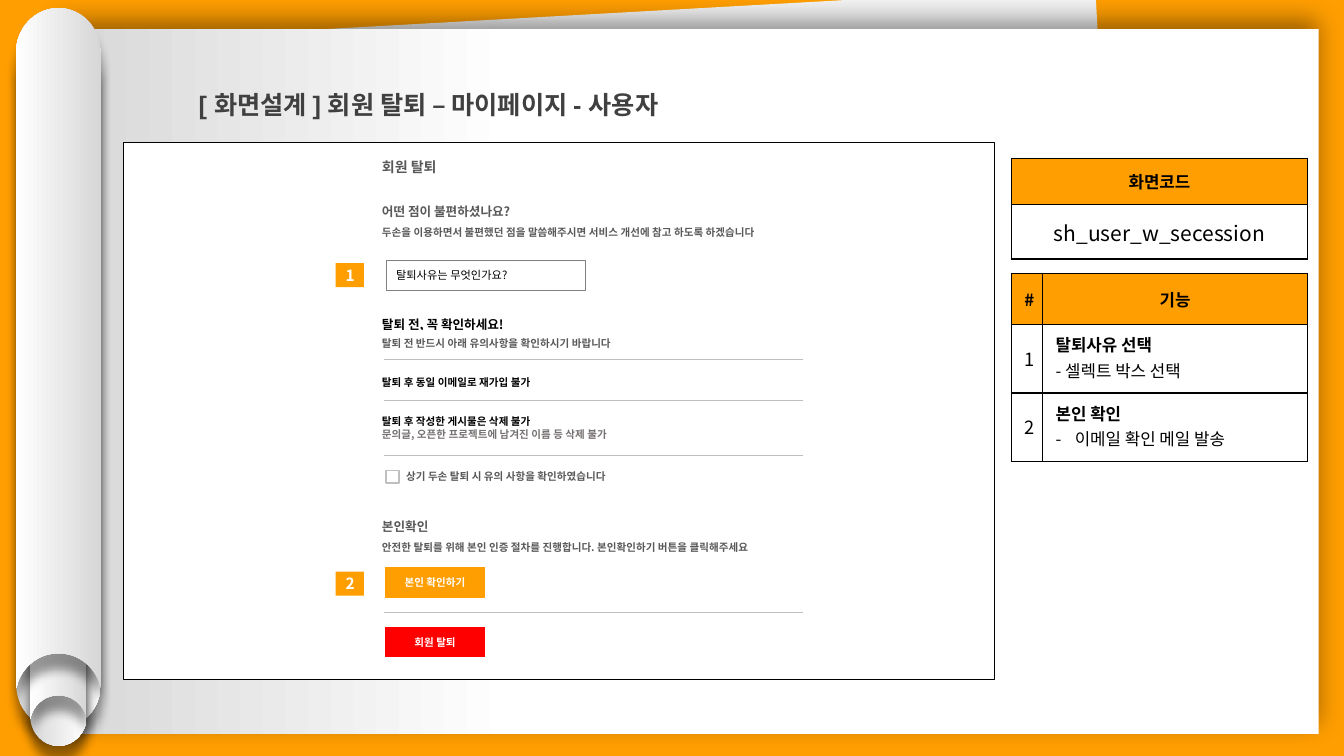
from dataclasses import dataclass
from typing import Any, Optional

from lxml.etree import SubElement
from pptx import Presentation
from pptx.dml.color import RGBColor
from pptx.enum.shapes import MSO_CONNECTOR as CONN, MSO_SHAPE as SHAPE
from pptx.enum.text import MSO_ANCHOR as ANCHOR, MSO_AUTO_SIZE as AUTO, PP_ALIGN as ALIGN
from pptx.oxml.ns import qn
from pptx.util import Inches, Pt

COLORS = {
    "orange": "FF9E00", "white": "FFFFFF", "black": "000000", "red": "FF0000",
    "paper": "F2F2F2", "shade": "D7D7D7", "title": "404040", "text": "595959",
    "note": "767171", "rule": "BFBFBF", "field": "808080",
}
FONT = "Noto Sans CJK KR"


@dataclass
class Line:
    text: str
    size: float = 7.5
    color: str = "text"
    bold: bool = True
    bullet: bool = False


@dataclass
class Box:
    left: float
    top: float
    width: float
    height: float
    lines: tuple[Line, ...] = ()
    fill: str = "white"
    line: Optional[str] = "white"
    weight: float = 1
    align: ALIGN = ALIGN.LEFT
    rotation: float = 0


@dataclass
class Roll:
    left: float
    top: float
    width: float
    height: float
    rotation: float


@dataclass
class Grid:
    left: float
    top: float
    cols: tuple[float, ...]
    rows: tuple[float, ...]
    cells: tuple[tuple[tuple[Line, ...], ...], ...]
    spacing: Any = None


def rgb(name: str) -> RGBColor:
    return RGBColor.from_string(COLORS[name])


def set_attrs(target: Any, values: dict[str, Any]) -> None:
    for name, value in values.items():
        setattr(target, name, value)


def write(tf: Any, lines: tuple[Line, ...], align: ALIGN, spacing: Any = None, font: str = FONT) -> None:
    for i, line in enumerate(lines):
        p = tf.add_paragraph() if i else tf.paragraphs[0]
        set_attrs(p, {"alignment": align, "line_spacing": spacing})
        if line.bullet:
            pPr = p._p.get_or_add_pPr()
            pPr.set("marL", str(Inches(0.19)))
            pPr.set("indent", str(Inches(-0.19)))
            SubElement(pPr, qn("a:buFont")).set("typeface", FONT)
            SubElement(pPr, qn("a:buChar")).set("char", "-")
        r = p.add_run()
        r.text = line.text
        set_attrs(r.font, {"name": font, "size": Pt(line.size), "bold": line.bold})
        r.font.color.rgb = rgb(line.color)
        rPr = r._r.get_or_add_rPr()
        rPr.set("kern", "0")
        SubElement(rPr, qn("a:ea")).set("typeface", FONT)


def add_box(s: Any, box: Box) -> Any:
    sp = s.shapes.add_shape(SHAPE.RECTANGLE, *map(Inches, (box.left, box.top, box.width, box.height)))
    sp.shadow.inherit = False
    sp.rotation = box.rotation
    sp.fill.solid()
    sp.fill.fore_color.rgb = rgb(box.fill)
    if box.line:
        sp.line.color.rgb = rgb(box.line)
        sp.line.width = Pt(box.weight)
    else:
        sp.line.fill.background()
    set_attrs(sp.text_frame, {"word_wrap": True, "vertical_anchor": ANCHOR.MIDDLE})
    write(sp.text_frame, box.lines, box.align)
    return sp


def shade(sp: Any, stops: tuple[tuple[float, str], ...], blur: float, dist: float, angle: int) -> None:
    sp.fill.gradient()
    sp.fill.gradient_angle = 180
    for stop, (position, color) in zip(sp.fill.gradient_stops, stops):
        stop.position = position
        stop.color.rgb = rgb(color)
    sp.line.fill.background()
    sp.shadow.inherit = False
    effects = sp._element.spPr.find(qn("a:effectLst"))
    shadow = SubElement(effects, qn("a:outerShdw"), blurRad=str(Pt(blur)), dist=str(Pt(dist)),
                        dir=str(angle * 60000), algn="ctr", rotWithShape="0")
    color = SubElement(shadow, qn("a:srgbClr"), val=COLORS["black"])
    SubElement(color, qn("a:alpha"), val="40000")


def add_roll(group: Any, roll: Roll) -> None:
    radius = roll.width / 2
    x, top, bottom = roll.left + radius, roll.top, roll.top + roll.height
    shoulder = top + 1.05 * radius
    right = [(0.55, top), (1, top + 0.47 * radius), (1, shoulder), (1, bottom),
             (0.95, bottom - 0.17 * radius), (0.79, bottom - 0.57 * radius),
             (0.43, bottom - 0.83 * radius)]
    left = [(-side, y) for side, y in reversed(right)]
    outline = [(0, top), *right, (0, bottom - 0.83 * radius), *left, (0, top)]
    points = [(Inches(x + side * radius), Inches(y)) for side, y in outline]
    builder = group.shapes.build_freeform(*points[0])
    builder.add_line_segments(points[1:], close=True)
    sp = builder.convert_to_shape()
    segments = list(sp._element.iter(qn("a:lnTo")))
    for start in (0, 5, 8, 13):
        curve = segments[start]
        curve.tag = qn("a:cubicBezTo")
        for control in segments[start + 1:start + 3]:
            curve.append(control[0])
            control.getparent().remove(control)
    sp.rotation = roll.rotation
    shade(sp, ((0, "shade"), (1, "white")), 7, 11, 90)


def add_rule(s: Any, top: float) -> None:
    c = s.shapes.add_connector(CONN.STRAIGHT, *map(Inches, (3.81, top, 7.96, top)))
    c.line.color.rgb = rgb("rule")
    c.line.width = Pt(0.5)
    SubElement(c._element.spPr, qn("a:effectLst"))


def add_grid(s: Any, grid: Grid) -> None:
    frame = s.shapes.add_table(len(grid.rows), len(grid.cols), *map(
        Inches, (grid.left, grid.top, sum(grid.cols), sum(grid.rows))))
    table = frame.table
    set_attrs(table, {"first_row": False, "horz_banding": False})
    for col, width in zip(table.columns, grid.cols):
        col.width = Inches(width)
    for i, (row, height) in enumerate(zip(table.rows, grid.rows)):
        row.height = Inches(height)
        for j, cell in enumerate(row.cells):
            body = i > 0 and j > 0
            set_attrs(cell, {
                "margin_left": Inches(0.13), "margin_right": Inches(0.13),
                "margin_top": Inches(0.07), "margin_bottom": Inches(0.07),
                "vertical_anchor": ANCHOR.TOP if body else ANCHOR.MIDDLE,
            })
            for side in ("lnL", "lnR", "lnT", "lnB"):
                ln = SubElement(cell._tc.get_or_add_tcPr(), qn(f"a:{side}"), w=str(Pt(1)))
                SubElement(SubElement(ln, qn("a:solidFill")), qn("a:srgbClr"), val=COLORS["black"])
            if i:
                cell.fill.background()
            else:
                cell.fill.solid()
                cell.fill.fore_color.rgb = rgb("orange")
            write(cell.text_frame, grid.cells[i][j], ALIGN.LEFT if body else ALIGN.CENTER, grid.spacing)


def label(top: float, height: float, *lines: Line, left: float = 3.69, width: float = 4.43) -> Box:
    return Box(left, top, width, height, lines)


def button(top: float, text: str, fill: str) -> Box:
    return Box(3.81, top, 1.01, 0.32, (Line(text, color="white"),), fill, align=ALIGN.CENTER)


def badge(top: float, text: str) -> Box:
    return Box(3.33, top, 0.28, 0.24, (Line(text, 11, "white"),), "orange", None, align=ALIGN.CENTER)


def cell_line(text: str, size: float = 12, bold: bool = True, bullet: bool = False) -> Line:
    return Line(text, size, "black", bold, bullet)


ROLLS = [
    Roll(0.16, 0.48, 0.84, 6.75, 180), Roll(0.3, 2.88, 0.56, 4.52, 180),
    Roll(0.3, 2.61, 0.56, 4.52, 0), Roll(0.16, 0.08, 0.84, 6.75, 0),
]
CODE_GRID = Grid(10.03, 1.57, (2.94,), (0.46, 0.54), (
    ((cell_line("화면코드"),),),
    ((cell_line("sh_user_w_secession", 15, False),),)))
FEATURE_GRID = Grid(10.03, 2.71, (0.31, 2.63), (0.51, 0.68, 0.68), (
    ((cell_line("#"),), (cell_line("기능"),)),
    ((cell_line("1", 13, False),),
     (cell_line("탈퇴사유 선택"), cell_line("- 셀렉트 박스 선택", bold=False))),
    ((cell_line("2", 13, False),),
     (cell_line("본인 확인"), cell_line("이메일 확인 메일 발송", bold=False, bullet=True)))), Pt(18))
SCREEN = Box(1.23, 1.41, 8.63, 5.33, line="black", weight=0.75)
UPPER_BOXES = [
    label(1.58, 0.15, Line("회원 탈퇴", 10), width=1.01),
    label(2.02, 0.15, Line("어떤 점이 불편하셨나요?", 9), width=2),
    label(2.17, 0.26, Line("두손을 이용하면서 불편했던 점을 말씀해주시면 서비스 개선에 참고 하도록 하겠습니다")),
    Box(3.83, 2.58, 1.98, 0.3, (Line("탈퇴사유는 무엇인가요?", 8, "black", False),), line="field", weight=0.5),
    label(3.14, 0.15, Line("탈퇴 전, 꼭 확인하세요!", 9, "black"), width=2),
    label(3.28, 0.26, Line("탈퇴 전 반드시 아래 유의사항을 확인하시기 바랍니다")),
    label(3.66, 0.26, Line("탈퇴 후 동일 이메일로 재가입 불가", color="black")),
    label(4.06, 0.37, Line("탈퇴 후 작성한 게시물은 삭제 불가", color="black"),
          Line("문의글, 오픈한 프로젝트에 남겨진 이름 등 삭제 불가", color="note")),
]
LOWER_BOXES = [
    label(4.6, 0.26, Line("상기 두손 탈퇴 시 유의 사항을 확인하였습니다"), left=3.93),
    Box(3.83, 4.67, 0.13, 0.12, line="rule"),
    label(5.15, 0.15, Line("본인확인", 9), width=2),
    label(5.32, 0.21, Line("안전한 탈퇴를 위해 본인 인증 절차를 진행합니다. 본인확인하기 버튼을 클릭해주세요"), width=4.09),
    button(5.62, "본인 확인하기", "orange"), button(6.21, "회원 탈퇴", "red"),
    badge(2.61, "1"), badge(5.67, "2"),
]


def add_title(s: Any) -> None:
    title = s.shapes.title
    set_attrs(title, dict(zip(("left", "top", "width", "height"), map(Inches, (1.9, 0.7, 7.21, 0.53)))))
    set_attrs(title.text_frame, {
        "word_wrap": True, "auto_size": AUTO.SHAPE_TO_FIT_TEXT, "vertical_anchor": ANCHOR.TOP,
        "margin_left": Inches(0.07), "margin_right": Inches(0.07),
        "margin_top": Inches(0.04), "margin_bottom": Inches(0.04),
    })
    heading = Line("[ 화면설계 ] 회원 탈퇴 – 마이페이지 - 사용자", 18, "title")
    write(title.text_frame, (heading,), ALIGN.LEFT, 1.5, "Arial")
    s.shapes.element.append(title.element)


def main() -> None:
    prs = Presentation()
    set_attrs(prs, {"slide_width": Inches(13.33), "slide_height": Inches(7.5)})
    s = prs.slides.add_slide(prs.slide_layouts[5])
    s.background.fill.solid()
    s.background.fill.fore_color.rgb = rgb("orange")
    add_box(s, Box(0.91, 0.14, 10.15, 6.8, fill="paper", line=None, rotation=356.8))
    page = add_box(s, Box(0.58, 0.29, 12.5, 6.99))
    shade(page, ((0.64, "white"), (1, "shade")), 18, 6, 270)
    group = s.shapes.add_group_shape()
    for roll in ROLLS:
        add_roll(group, roll)
    add_grid(s, CODE_GRID)
    add_box(s, SCREEN)
    add_grid(s, FEATURE_GRID)
    for box in UPPER_BOXES + LOWER_BOXES:
        add_box(s, box)
    for top in (3.57, 3.97, 4.52, 6.08):
        add_rule(s, top)
    add_title(s)
    prs.save("out.pptx")


if __name__ == "__main__":
    main()
